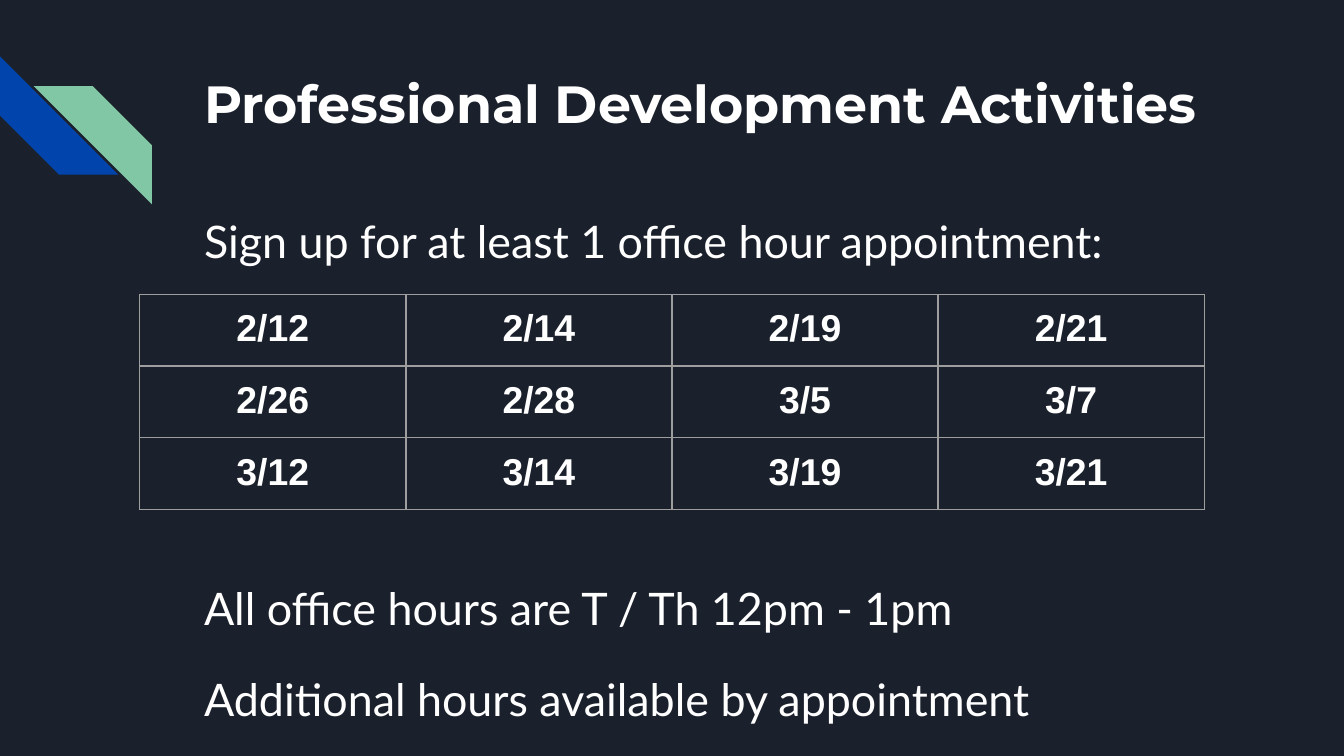
"""Build the slide on professional development office hours."""
from lxml.etree import SubElement
from pptx import Presentation
from pptx.dml.color import RGBColor
from pptx.enum.shapes import MSO_SHAPE as Shape
from pptx.enum.text import PP_ALIGN as Align
from pptx.oxml.ns import qn
from pptx.util import Inches, Pt

COLORS = {
    "background": "1B212C",
    "blue": "0145AC",
    "green": "82C7A5",
    "text": "FFFFFF",
    "border": "9E9E9E",
}


def write(paragraph, text, font="Lato", size=24, bold=False, align=Align.LEFT, line_spacing=1.0, before=0):
    paragraph.alignment = align
    paragraph.line_spacing = line_spacing
    paragraph.space_before = Pt(before)
    run = paragraph.add_run()
    run.text = text
    run.font.name = font
    run.font.size = Pt(size)
    run.font.bold = bold
    run.font.color.rgb = RGBColor.from_string(COLORS["text"])


def add_text_frame(slide, left, top, width, height):
    frame = slide.shapes.add_textbox(Inches(left), Inches(top), Inches(width), Inches(height)).text_frame
    frame.word_wrap = True
    frame.margin_left = frame.margin_right = frame.margin_top = frame.margin_bottom = Inches(0.1)
    return frame


presentation = Presentation()
presentation.slide_width = Inches(10)
presentation.slide_height = Inches(10 * 9 / 16)
slide = presentation.slides.add_slide(presentation.slide_layouts[6])
slide.background.fill.solid()
slide.background.fill.fore_color.rgb = RGBColor.from_string(COLORS["background"])

for color, left, top, rotation, flipped in [("blue", 0, 0.42, 270, False), ("green", 0.25, 0.64, 0, True)]:
    stripe = slide.shapes.add_shape(
        Shape.DIAGONAL_STRIPE, Inches(left), Inches(top), Inches(0.88), Inches(0.88))
    stripe.adjustments[0] = 0.5
    stripe.rotation = rotation
    stripe.shadow.inherit = False
    stripe.fill.solid()
    stripe.fill.fore_color.rgb = RGBColor.from_string(COLORS[color])
    stripe.line.fill.background()
    if flipped:
        stripe._element.spPr.find(qn("a:xfrm")).set("flipH", "1")

title = add_text_frame(slide, 1.42, 0.43, 8.22, 1)
write(title.paragraphs[0], "Professional Development Activities", font="Montserrat", size=28, bold=True)

body = add_text_frame(slide, 1.42, 1.43, 7.7, 3.47)
table_gap = 163.4
body_lines = [
    ("Sign up for at least 1 office hour appointment:", 0),
    ("All office hours are T / Th 12pm - 1pm", table_gap),
    ("Additional hours available by appointment", 16),
]
for index, (text, before) in enumerate(body_lines):
    paragraph = body.add_paragraph() if index else body.paragraphs[0]
    write(paragraph, text, line_spacing=1.15, before=before)

dates = [
    ["2/12", "2/14", "2/19", "2/21"],
    ["2/26", "2/28", "3/5", "3/7"],
    ["3/12", "3/14", "3/19", "3/21"],
]
table = slide.shapes.add_table(
    len(dates), len(dates[0]), Inches(1.04), Inches(2.19), Inches(7.92), Inches(1.26)).table
table.first_row = False
table.horz_banding = False
for row_index, row in enumerate(dates):
    for column_index, date in enumerate(row):
        cell = table.cell(row_index, column_index)
        cell.margin_left = cell.margin_right = cell.margin_top = cell.margin_bottom = Inches(0.1)
        write(cell.text_frame.paragraphs[0], date, font="Arial", size=20, bold=True, align=Align.CENTER)
        properties = cell._tc.get_or_add_tcPr()
        for side in ("lnL", "lnR", "lnT", "lnB"):
            border = SubElement(properties, qn(f"a:{side}"), w=str(Pt(0.75)))
            border_fill = SubElement(border, qn("a:solidFill"))
            SubElement(border_fill, qn("a:srgbClr"), val=COLORS["border"])
        cell.fill.background()

presentation.save("out.pptx")
